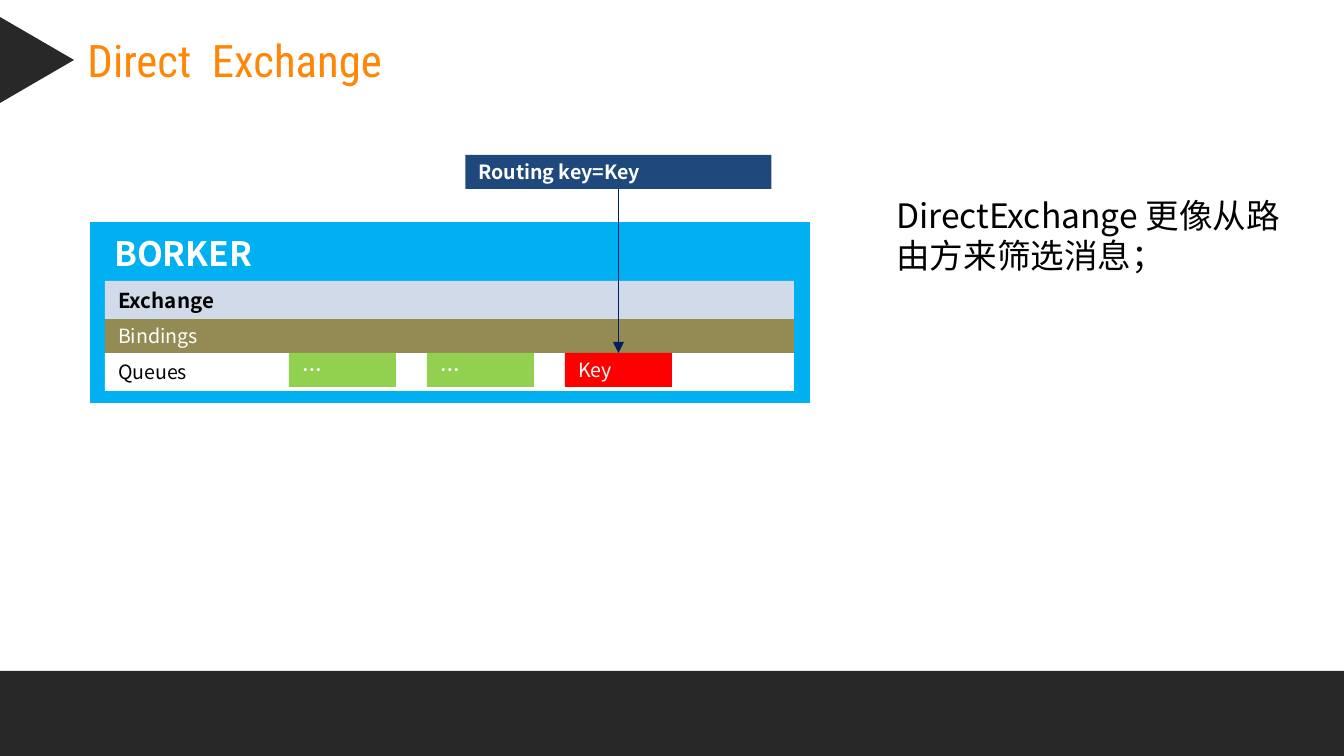
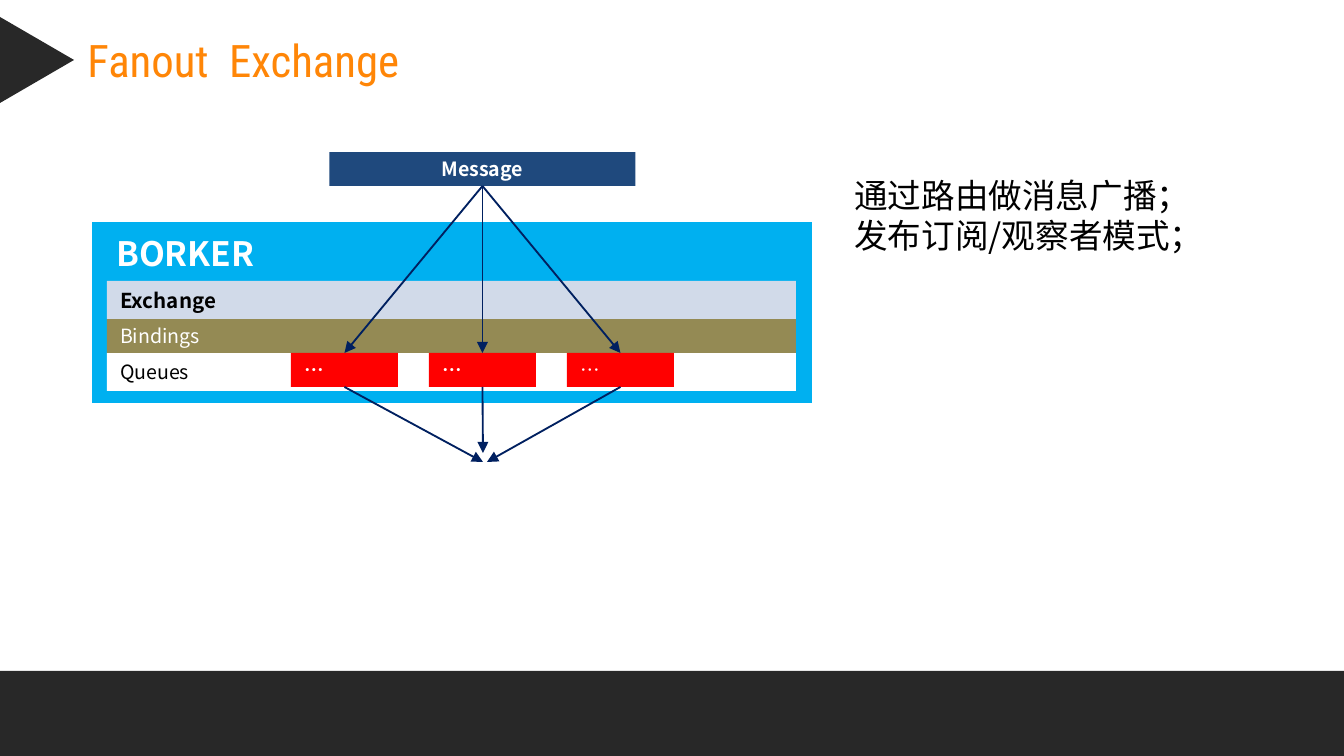
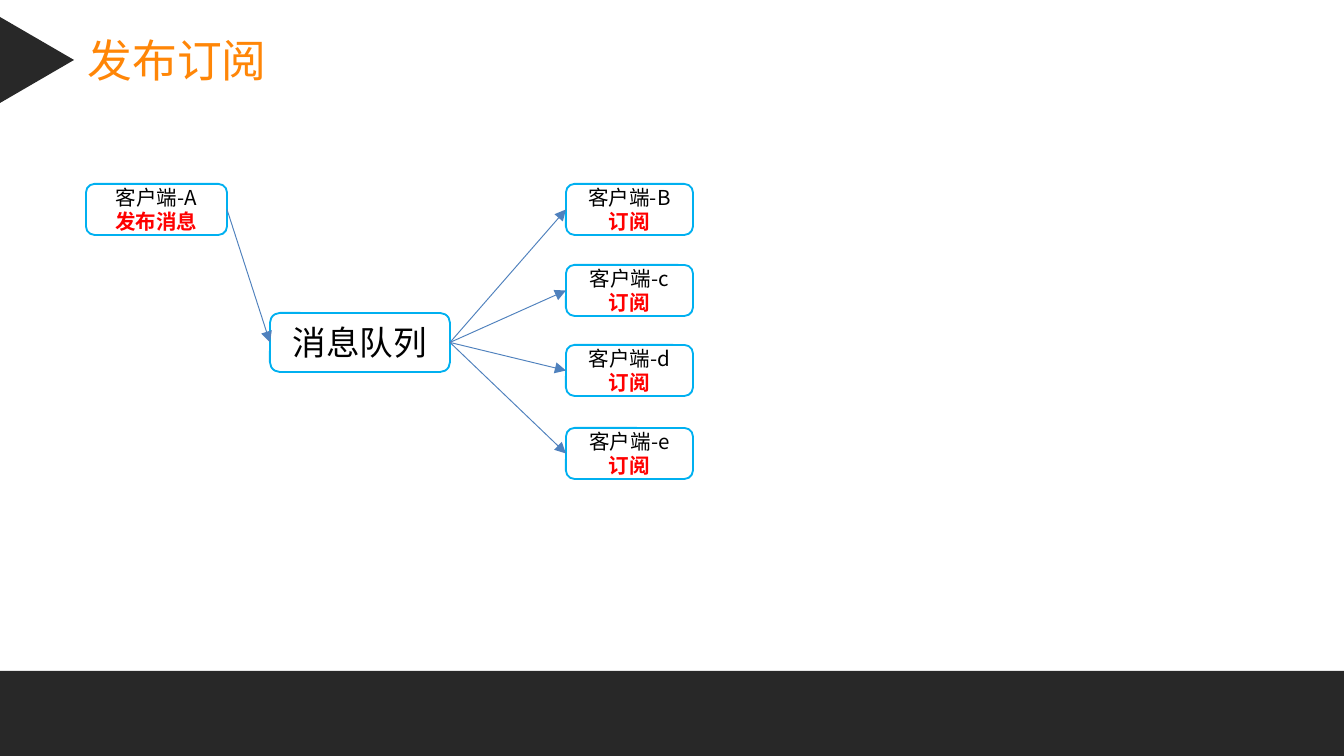
from lxml import etree
from pptx import Presentation
from pptx.dml.color import RGBColor
from pptx.enum.shapes import MSO_CONNECTOR, MSO_SHAPE
from pptx.enum.text import MSO_ANCHOR, MSO_AUTO_SIZE, PP_ALIGN
from pptx.oxml.ns import qn
from pptx.util import Emu, Pt

RECTANGLE = MSO_SHAPE.RECTANGLE
ROUNDED = MSO_SHAPE.ROUNDED_RECTANGLE
TRIANGLE = MSO_SHAPE.ISOSCELES_TRIANGLE
STRAIGHT = MSO_CONNECTOR.STRAIGHT
LEFT, CENTER = PP_ALIGN.LEFT, PP_ALIGN.CENTER
TOP, MIDDLE = MSO_ANCHOR.TOP, MSO_ANCHOR.MIDDLE
NO_AUTOFIT = MSO_AUTO_SIZE.NONE

# Connection sites of a rectangle
SITE_TOP, SITE_LEFT, SITE_BOTTOM, SITE_RIGHT = range(4)

BLACK = RGBColor(0x00, 0x00, 0x00)
WHITE = RGBColor(0xFF, 0xFF, 0xFF)
CHARCOAL = RGBColor(0x28, 0x28, 0x28)
ORANGE = RGBColor(0xFF, 0x86, 0x07)
SKY = RGBColor(0x00, 0xB0, 0xF0)
GREEN = RGBColor(0x92, 0xD0, 0x50)
RED = RGBColor(0xFF, 0x00, 0x00)
OLIVE = RGBColor(0x94, 0x8A, 0x54)
PALE_BLUE = RGBColor(0xD1, 0xDA, 0xE9)
DARK_BLUE = RGBColor(0x1F, 0x49, 0x7D)
NAVY = RGBColor(0x00, 0x20, 0x60)
STEEL = RGBColor(0x4F, 0x81, 0xBD)

BODY_FONT = "Noto Sans CJK SC"
TITLE_FONT = "Roboto Condensed"

PIXEL = 914400 / 134.4
SLIDE_WIDTH, SLIDE_HEIGHT = 1344, 756
TITLE_ONLY_LAYOUT = 5

# Broker rows: label, top, height, fill, text colour, size, bold
BROKER_ROWS = [
    ("Queues", 353, 38, WHITE, BLACK, 10.5, False),
    ("Bindings", 319, 34, OLIVE, WHITE, 10.5, False),
    ("Exchange", 281, 38, PALE_BLUE, BLACK, 11, True),
]
QUEUE_TOP, QUEUE_STEP, QUEUE_WIDTH, BAR_HEIGHT = 353, 138, 107, 34
MESSAGE_WIDTH = 306

# Queues: label, fill, bold; "center" is the queue below the message
EXCHANGES = [
    {
        "title": "Direct  Exchange",
        "left": 90,
        "message": ("Routing key=Key", 155, LEFT),
        "queues": [("…", GREEN, True), ("…", GREEN, True), ("Key", RED, False)],
        "center": 2,
        "routed": [2],
        "outputs": [],
        "note": (["DirectExchange 更像从路由方来筛选消息；"], (883, 188, 413, 95)),
    },
    {
        "title": "Fanout  Exchange",
        "left": 92,
        "message": ("Message", 152, CENTER),
        "queues": [("…", RED, True), ("…", RED, True), ("…", RED, False)],
        "center": 1,
        "routed": [0, 1, 2],
        "outputs": [(483, 462), (483, 453), (487, 462)],
        "note": (["通过路由做消息广播；", "发布订阅/观察者模式；"], (841, 168, 368, 95)),
    },
]

PUBLISH_TITLE = "发布订阅"
PUBLISHER = ("客户端-A", "发布消息", (86, 184, 141, 51))
MESSAGE_QUEUE = ("消息队列", (270, 313, 180, 59))
SUBSCRIBERS = [("客户端-B", 184), ("客户端-c", 265), ("客户端-d", 345), ("客户端-e", 428)]
SUBSCRIBER_ROLE = "订阅"
SUBSCRIBER_LEFT, SUBSCRIBER_WIDTH, CLIENT_HEIGHT = 566, 127, 51


def px(*lengths):
    """Turn pixel lengths into a list of EMU lengths."""
    return [Emu(round(length * PIXEL)) for length in lengths]


def write(shape, lines, align=LEFT, anchor=MIDDLE, font=BODY_FONT):
    """Fill a shape with lines of (text, size, colour, bold)."""
    frame = shape.text_frame
    frame.word_wrap = True
    frame.auto_size = NO_AUTOFIT
    frame.vertical_anchor = anchor
    for index, (text, size, color, bold) in enumerate(lines):
        paragraph = frame.add_paragraph() if index else frame.paragraphs[0]
        paragraph.alignment = align
        run = paragraph.add_run()
        run.text = text
        run.font.size = Pt(size)
        run.font.bold = bold
        run.font.color.rgb = color
        run.font.name = font
        east_asian = etree.SubElement(run.font._element, qn("a:ea"))
        east_asian.set("typeface", BODY_FONT)


def add_box(shapes, box, fill=None, outline=None, kind=RECTANGLE):
    """Add a flat preset shape with an optional fill and outline."""
    shape = shapes.add_shape(kind, *px(*box))
    shape.shadow.inherit = False
    if fill is None:
        shape.fill.background()
    else:
        shape.fill.solid()
        shape.fill.fore_color.rgb = fill
    if outline is None:
        shape.line.fill.background()
    else:
        shape.line.color.rgb = outline
        shape.line.width = Pt(1)
    return shape


def add_text(shapes, box, lines):
    """Add a wrapping text box anchored at its top."""
    write(shapes.add_textbox(*px(*box)), lines, anchor=TOP)


def add_arrow(shapes, source, source_site, color, width, target=None,
              target_site=None, point=None):
    """Draw an arrow from a shape to another shape or to a pixel point."""
    end = px(*point) if point else (target.left, target.top)
    arrow = shapes.add_connector(STRAIGHT, source.left, source.top, *end)
    arrow.begin_connect(source, source_site)
    if target is not None:
        arrow.end_connect(target, target_site)
    arrow.line.color.rgb = color
    arrow.line.width = Pt(width)
    etree.SubElement(arrow.line._get_or_add_ln(), qn("a:tailEnd"), type="triangle")
    etree.SubElement(arrow._element.spPr, qn("a:effectLst"))


def add_slide(presentation, title, title_width=344):
    """Add a slide with the shared band, marker and title."""
    slide = presentation.slides.add_slide(presentation.slide_layouts[TITLE_ONLY_LAYOUT])
    add_box(slide.shapes, (0, 671, SLIDE_WIDTH, 85), CHARCOAL)
    marker = add_box(slide.shapes, (-6, 23, 86, 74), CHARCOAL, kind=TRIANGLE)
    marker.rotation = 90
    heading = slide.shapes.title
    heading.left, heading.top, heading.width, heading.height = px(74, 26, title_width, 67)
    write(heading, [(title, 24, ORANGE, False)], anchor=TOP, font=TITLE_FONT)
    return slide


def add_broker(shapes, exchange):
    """Draw the broker, its queues, the message and the routing arrows."""
    left = exchange["left"]
    add_box(shapes, (left, 222, 720, 181), SKY)
    for label, top, height, fill, color, size, bold in BROKER_ROWS:
        row = add_box(shapes, (left + 15, top, 689, height), fill)
        write(row, [(label, size, color, bold)])

    queues = []
    for index, (label, fill, bold) in enumerate(exchange["queues"]):
        queue_left = left + 199 + index * QUEUE_STEP
        queue = add_box(shapes, (queue_left, QUEUE_TOP, QUEUE_WIDTH, BAR_HEIGHT), fill)
        write(queue, [(label, 10.5, WHITE, bold)])
        queues.append(queue)

    label, top, align = exchange["message"]
    center = left + 199 + exchange["center"] * QUEUE_STEP + QUEUE_WIDTH / 2
    message = add_box(
        shapes, (center - MESSAGE_WIDTH / 2, top, MESSAGE_WIDTH, BAR_HEIGHT), DARK_BLUE)
    write(message, [(label, 10.5, WHITE, True)], align)
    add_text(shapes, (left + 11, 226, 329, 54), [("BORKER", 18, WHITE, True)])

    for index in exchange["routed"]:
        add_arrow(shapes, message, SITE_BOTTOM, NAVY, 1, queues[index], SITE_TOP)
    for queue, point in zip(queues, exchange["outputs"]):
        add_arrow(shapes, queue, SITE_BOTTOM, NAVY, 1, point=point)


def add_client(shapes, name, role, box):
    """Add a rounded client box with its name and role."""
    client = add_box(shapes, box, outline=SKY, kind=ROUNDED)
    write(client, [(name, 11, BLACK, False), (role, 11, RED, True)], CENTER)
    return client


def add_publish_subscribe(shapes):
    """Draw the publisher, the message queue and its subscribers."""
    publisher = add_client(shapes, *PUBLISHER)
    label, box = MESSAGE_QUEUE
    queue = add_box(shapes, box, outline=SKY, kind=ROUNDED)
    write(queue, [(label, 18, BLACK, False)], CENTER)
    add_arrow(shapes, publisher, SITE_RIGHT, STEEL, 0.5, queue, SITE_LEFT)
    for name, top in SUBSCRIBERS:
        box = (SUBSCRIBER_LEFT, top, SUBSCRIBER_WIDTH, CLIENT_HEIGHT)
        subscriber = add_client(shapes, name, SUBSCRIBER_ROLE, box)
        add_arrow(shapes, queue, SITE_RIGHT, STEEL, 0.5, subscriber, SITE_LEFT)


def main():
    """Build and save the presentation."""
    presentation = Presentation()
    presentation.slide_width, presentation.slide_height = px(SLIDE_WIDTH, SLIDE_HEIGHT)
    for exchange in EXCHANGES:
        slide = add_slide(presentation, exchange["title"])
        add_broker(slide.shapes.add_group_shape().shapes, exchange)
        lines, box = exchange["note"]
        add_text(slide.shapes, box, [(line, 18, BLACK, False) for line in lines])
    slide = add_slide(presentation, PUBLISH_TITLE, 208)
    add_publish_subscribe(slide.shapes)
    presentation.save("out.pptx")


main()
